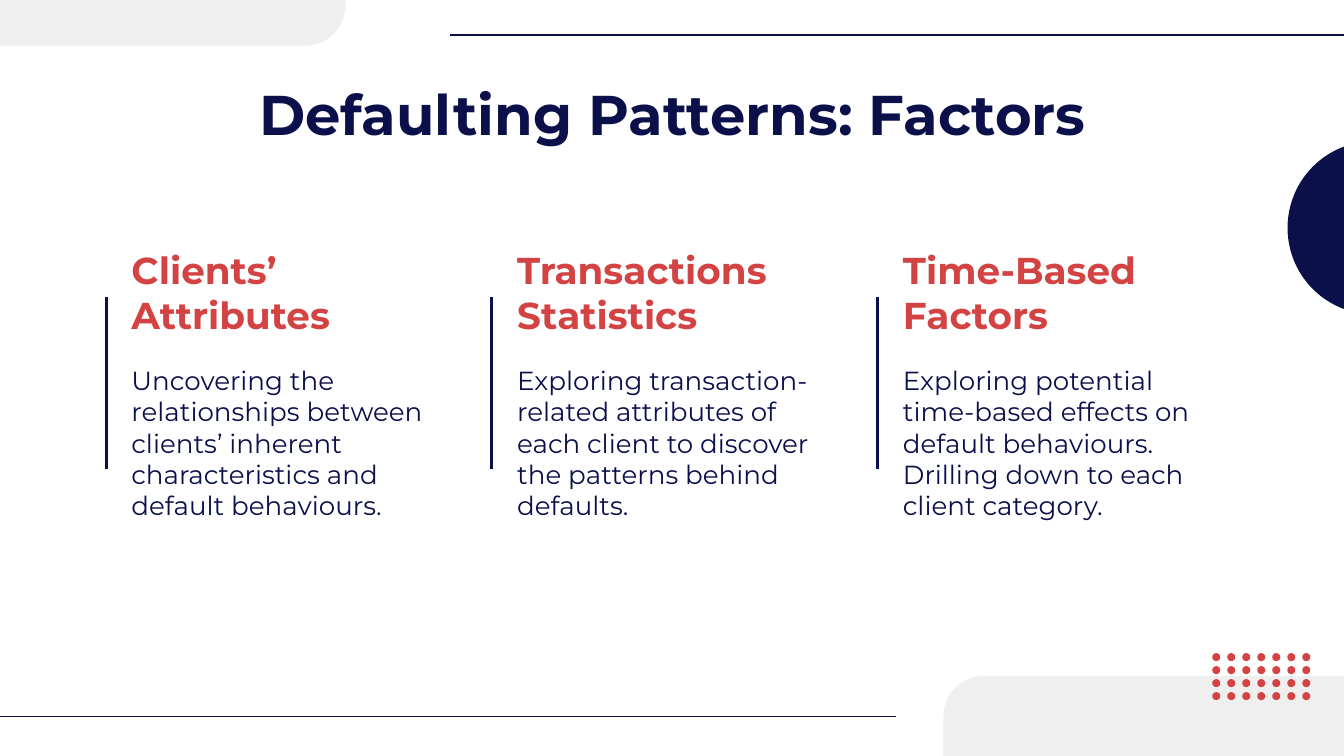
from pptx import Presentation
from pptx.dml.color import RGBColor
from pptx.enum.shapes import MSO_CONNECTOR, MSO_SHAPE
from pptx.enum.text import MSO_ANCHOR, PP_ALIGN
from pptx.oxml.ns import qn
from pptx.util import Inches, Pt
from lxml import etree

STRAIGHT = MSO_CONNECTOR.STRAIGHT
PIE, ROUND_ONE, OVAL = MSO_SHAPE.PIE, MSO_SHAPE.ROUND_1_RECTANGLE, MSO_SHAPE.OVAL
TOP, BOTTOM = MSO_ANCHOR.TOP, MSO_ANCHOR.BOTTOM
LEFT, CENTER = PP_ALIGN.LEFT, PP_ALIGN.CENTER

COLORS = {"navy": "0B104B", "red": "D44343", "grey": "EFEFEF"}
FONT = "Montserrat"

# 16:9 slide
prs = Presentation()
prs.slide_width, prs.slide_height = Inches(10), Inches(10 * 9 / 16)
s = prs.slides.add_slide(prs.slide_layouts[6])


def add_filled(kind, x, y, w, h, color):
    sp = s.shapes.add_shape(kind, Inches(x), Inches(y), Inches(w), Inches(h))
    sp.shadow.inherit = False
    sp.fill.solid()
    sp.fill.fore_color.rgb = RGBColor.from_string(COLORS[color])
    sp.line.fill.background()
    return sp


def add_text(text, x, y, w, h, size, color, bold=False, align=LEFT, anchor=TOP):
    tf = s.shapes.add_textbox(Inches(x), Inches(y), Inches(w), Inches(h)).text_frame
    tf.word_wrap = True
    tf.vertical_anchor = anchor
    tf.margin_left = tf.margin_right = tf.margin_top = tf.margin_bottom = Inches(0.1)
    p = tf.paragraphs[0]
    p.text = text
    p.alignment = align
    p.font.name, p.font.size, p.font.bold = FONT, Pt(size), bold
    p.font.color.rgb = RGBColor.from_string(COLORS[color])


# Half circle at the right edge
half_circle = add_filled(PIE, 9.58, 1.05, 1.29, 1.29, "navy")
half_circle.adjustments[0] = 54  # 90 degrees
half_circle.adjustments[1] = 162  # 270 degrees

# Grey corner panels, each with one rounded corner
bottom_panel = add_filled(ROUND_ONE, 7.02, 5.03, 3.06, 0.6, "grey")
top_panel = add_filled(ROUND_ONE, 0, -0.26, 2.57, 0.6, "grey")
top_panel.rotation = 180
for panel in (bottom_panel, top_panel):
    panel.adjustments[0] = 0.5
    panel._element.spPr.find(qn("a:xfrm")).set("flipH", "1")

# Dot grid
for row in range(4):
    for col in range(7):
        add_filled(OVAL, 9.02 + col * 0.67 / 6, 4.86 + row * 0.29 / 3, 0.06, 0.06, "red")

# Title
add_text("Defaulting Patterns: Factors", 0.79, 0.49, 8.43, 0.63, 30, "navy",
         bold=True, align=CENTER)

# Three factor columns
factors = [
    ("Clients’ Attributes",
     "Uncovering the relationships between clients’ inherent characteristics "
     "and default behaviours."),
    ("Transactions Statistics",
     "Exploring transaction-related attributes of each client to discover "
     "the patterns behind defaults."),
    ("Time-Based Factors",
     "Exploring potential time-based effects on default behaviours. "
     "Drilling down to each client category."),
]
# Rules as x1, y1, x2, y2, width: header and footer, then one per column
rules = [(10, 0.26, 3.35, 0.26, 0.75), (6.67, 5.33, 0, 5.33, 0.75)]
for i, (heading, body) in enumerate(factors):
    x = 0.88 + i * 2.87
    add_text(body, x, 2.61, 2.52, 1.78, 14, "navy")
    add_text(heading, x, 2.18, 2.52, 0.43, 20, "red", bold=True, anchor=BOTTOM)
    rules.append((x - 0.09, 3.49, x - 0.09, 2.21, 1.5))

for x1, y1, x2, y2, width in rules:
    rule = s.shapes.add_connector(STRAIGHT, Inches(x1), Inches(y1), Inches(x2), Inches(y2))
    rule.line.color.rgb = RGBColor.from_string(COLORS["navy"])
    rule.line.width = Pt(width)
    etree.SubElement(rule._element.spPr, qn("a:effectLst"))

prs.save("out.pptx")
